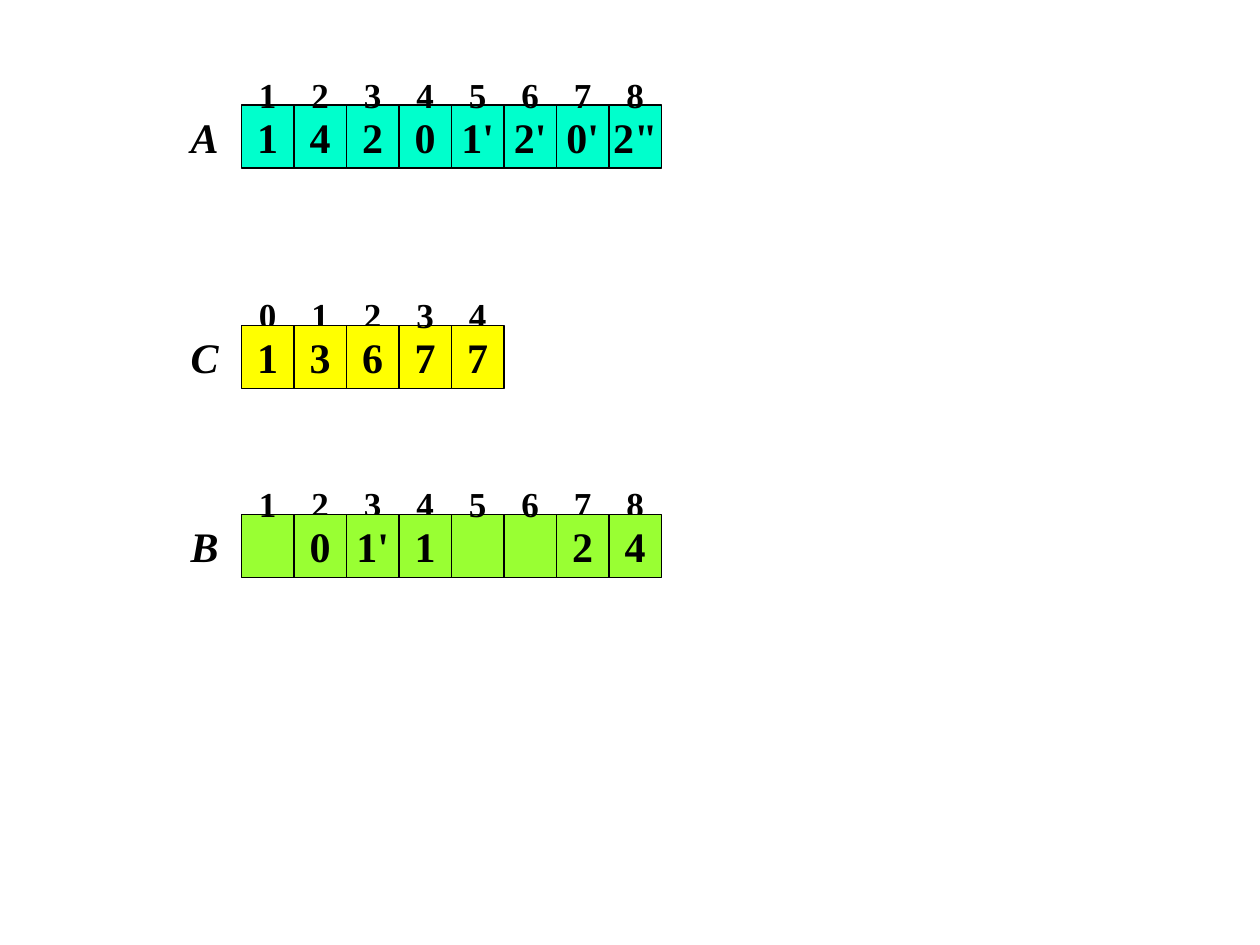
"""Build a slide showing a counting sort step with arrays A, C and B."""
from dataclasses import dataclass

from pptx import Presentation
from pptx.dml.color import RGBColor
from pptx.enum.shapes import MSO_SHAPE
from pptx.enum.text import MSO_ANCHOR, PP_ALIGN
from pptx.shapes.autoshape import Shape
from pptx.shapes.shapetree import GroupShapes, SlideShapes
from pptx.util import Emu, Pt

RECTANGLE = MSO_SHAPE.RECTANGLE
MIDDLE = MSO_ANCHOR.MIDDLE
CENTER = PP_ALIGN.CENTER

BLACK = RGBColor(0x00, 0x00, 0x00)
WHITE = RGBColor(0xFF, 0xFF, 0xFF)
TURQUOISE = RGBColor(0x00, 0xFF, 0xCC)
YELLOW = RGBColor(0xFF, 0xFF, 0x00)
LIME = RGBColor(0x99, 0xFF, 0x33)

EMU_PER_PX = 9525
SLIDE_WIDTH, SLIDE_HEIGHT = 960, 720
NAME_LEFT, NAME_WIDTH = 128, 56
CELLS_LEFT = NAME_LEFT + NAME_WIDTH
CELL_WIDTH, ROW_HEIGHT = 40, 48
INDEX_RISE = 32

FONT = {"name": "Times New Roman", "bold": True}
INDEX_FONT = FONT | {"size": Pt(20)}
VALUE_FONT = FONT | {"size": Pt(24)}
NAME_FONT = VALUE_FONT | {"italic": True}


@dataclass(frozen=True)
class Array:
    name: str
    top: int
    first_index: int
    values: tuple[str, ...]
    color: RGBColor
    front_cells: frozenset[int] = frozenset()


ARRAYS = (
    Array("B", 392, 1, ("", "0", "1'", "1", "", "", "2", "4"), LIME,
          frozenset({1, 2, 3, 6, 7})),
    Array("A", 80, 1, ("1", "4", "2", "0", "1'", "2'", "0'", '2"'), TURQUOISE),
    Array("C", 248, 0, ("1", "3", "6", "7", "7"), YELLOW,
          frozenset({0, 1, 2, 4})),
)


def px(length: int) -> Emu:
    """Convert pixels to EMU."""
    return Emu(length * EMU_PER_PX)


def cell_left(position: int) -> int:
    """Return the left edge of the cell at a position."""
    return CELLS_LEFT + position * CELL_WIDTH


def write(shape: Shape, text: str, font_format: dict) -> None:
    """Write one centred, unwrapped line in a shape."""
    frame = shape.text_frame
    frame.word_wrap = False
    frame.vertical_anchor = MIDDLE
    paragraph = frame.paragraphs[0]
    paragraph.alignment = CENTER
    if text:
        run = paragraph.add_run()
        run.text = text
        run.font.color.rgb = BLACK
        for attribute, value in font_format.items():
            setattr(run.font, attribute, value)


def draw_box(shapes: SlideShapes | GroupShapes, left: int, top: int,
             width: int, line_color: RGBColor) -> Shape:
    """Draw a thinly outlined rectangle without a fill."""
    box = shapes.add_shape(RECTANGLE, px(left), px(top), px(width), px(ROW_HEIGHT))
    box.shadow.inherit = False
    box.fill.background()
    box.line.color.rgb = line_color
    box.line.width = Pt(0.75)
    return box


def draw_name(shapes: GroupShapes, array: Array) -> None:
    """Draw the name to the left of an array."""
    name_box = draw_box(shapes, NAME_LEFT, array.top, NAME_WIDTH, WHITE)
    write(name_box, array.name, NAME_FONT)


def draw_cell(shapes: SlideShapes | GroupShapes, array: Array,
              position: int) -> None:
    """Draw one filled cell with its value."""
    cell = draw_box(shapes, cell_left(position), array.top, CELL_WIDTH, BLACK)
    cell.fill.solid()
    cell.fill.fore_color.rgb = array.color
    write(cell, array.values[position], VALUE_FONT)


def draw_index(shapes: GroupShapes, array: Array, position: int) -> None:
    """Draw the index above one cell."""
    index = shapes.add_textbox(px(cell_left(position)), px(array.top - INDEX_RISE),
                               px(CELL_WIDTH), px(ROW_HEIGHT))
    write(index, str(array.first_index + position), INDEX_FONT)


def draw_array(shapes: SlideShapes, array: Array) -> None:
    """Draw an array group, then the cells that lie in front of it."""
    members = shapes.add_group_shape().shapes
    positions = range(len(array.values))
    draw_name(members, array)
    for position in positions:
        if position not in array.front_cells:
            draw_cell(members, array, position)
    for position in positions:
        draw_index(members, array, position)
    for position in sorted(array.front_cells):
        draw_cell(shapes, array, position)


def main() -> None:
    """Build and save the presentation."""
    presentation = Presentation()
    presentation.slide_width = px(SLIDE_WIDTH)
    presentation.slide_height = px(SLIDE_HEIGHT)
    slide = presentation.slides.add_slide(presentation.slide_layouts[6])
    for array in ARRAYS:
        draw_array(slide.shapes, array)
    presentation.save("out.pptx")


if __name__ == "__main__":
    main()
